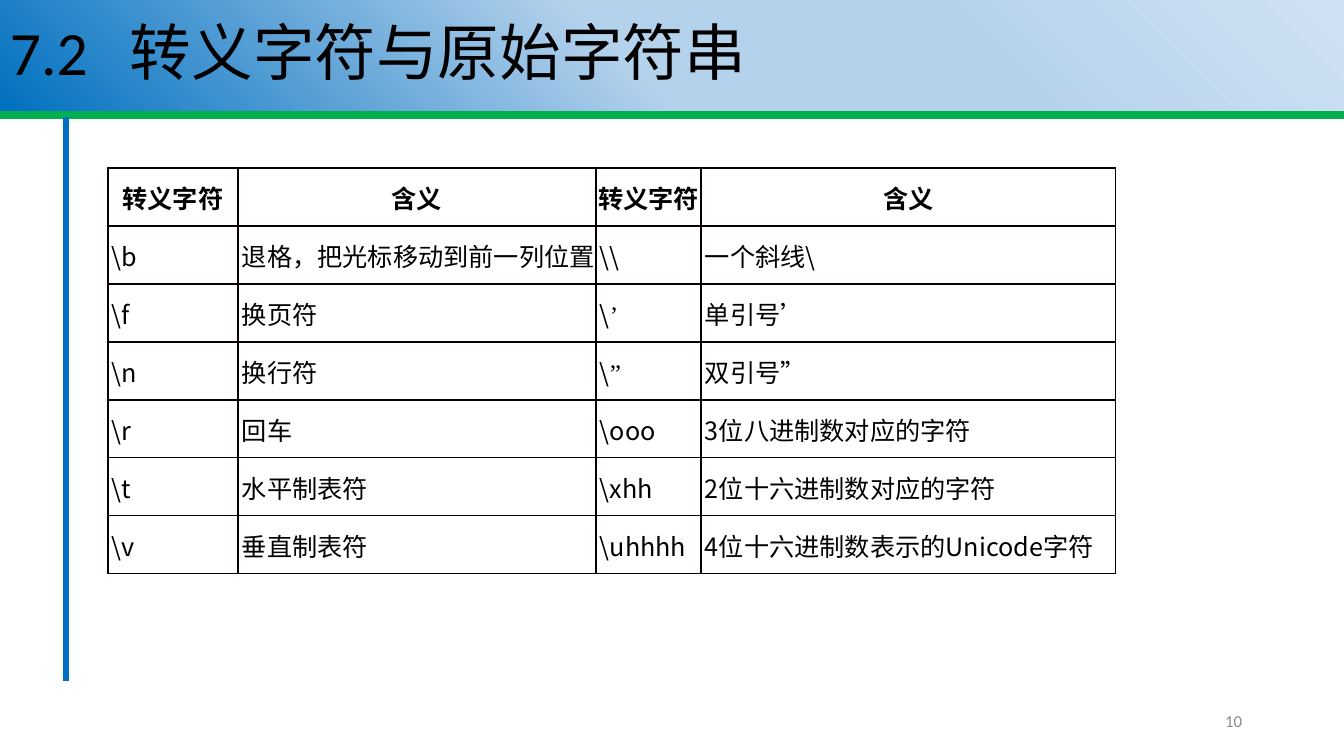
"""Build the slide on escape characters and raw strings."""
from dataclasses import dataclass
from itertools import groupby

from lxml import etree
from pptx import Presentation
from pptx import util as u
from pptx.dml.color import RGBColor
from pptx.enum import shapes, text
from pptx.oxml import ns

PX = 914400 / 100.8
QUOTES = "’”"
ROWS = [
    ("转义字符", "含义", "转义字符", "含义"),
    (r"\b", "退格，把光标移动到前一列位置", r"\\", "一个斜线\\"),
    (r"\f", "换页符", r"\’", "单引号’"),
    (r"\n", "换行符", r"\”", "双引号”"),
    (r"\r", "回车", r"\ooo", "3位八进制数对应的字符"),
    (r"\t", "水平制表符", r"\xhh", "2位十六进制数对应的字符"),
    (r"\v", "垂直制表符", r"\uhhhh", "4位十六进制数表示的Unicode字符"),
]


@dataclass(frozen=True)
class Theme:
    """Colours, fonts and type sizes of the slide."""
    ink: str = "000000"
    paper: str = "FFFFFF"
    muted: str = "8C8C8C"
    green: str = "00B050"
    blue: str = "0070C0"
    border: str = "080000"
    banner: tuple = ((1, "CEE1F2"), (29, "B5D2EC"), (53, "B5D2EC"), (100, "0070C0"))
    latin: str = "Calibri"
    asian: str = "Noto Sans CJK SC"
    quote: str = "Times New Roman"
    title: int = 44
    body: int = 18
    small: int = 12


def px(length):
    """Turn px into EMU."""
    return u.Emu(round(length * PX))


def assign(target, **values):
    """Set each format value on the target."""
    for name, value in values.items():
        setattr(target, name, value)


def add_xml(parent, tag, **attributes):
    """Append a drawing element to the parent."""
    return etree.SubElement(parent, ns.qn(tag), attributes)


class SlideBuilder:
    """Draw elements on one slide in one style."""

    def __init__(self, page, theme):
        """Keep the page and the theme."""
        self.page, self.theme = page, theme

    def add_span(self, para, words, font, size, color, bold=False):
        """Add one span of text to a paragraph."""
        span = para.add_run()
        span.text = words
        assign(span.font, name=font, size=u.Pt(size), bold=bold)
        span.font.color.rgb = RGBColor.from_string(color)
        add_xml(span.font._element, "a:ea", typeface=self.theme.asian)

    def line(self, start, end, color, width):
        """Draw a straight line."""
        rule = self.page.shapes.add_connector(
            shapes.MSO_CONNECTOR.STRAIGHT, *map(px, start + end))
        rule.line.color.rgb = RGBColor.from_string(color)
        rule.line.width = u.Pt(width)
        add_xml(rule._element.spPr, "a:effectLst")

    def banner(self, left, top, width, height, number, heading, tab):
        """Draw the gradient title bar."""
        box = self.page.shapes.add_shape(
            shapes.MSO_SHAPE.RECTANGLE, *map(px, (left, top, width, height)))
        box.shadow.inherit = False
        box.line.fill.background()
        box.fill.gradient()
        box.fill.gradient_angle = 225
        stops = box._element.spPr.find(".//" + ns.qn("a:gsLst"))
        stops[:] = []
        for percent, color in self.theme.banner:
            stop = add_xml(stops, "a:gs", pos=str(percent * 1000))
            add_xml(stop, "a:srgbClr", val=color)
        assign(box.text_frame, word_wrap=True, vertical_anchor=text.MSO_ANCHOR.MIDDLE)
        para = box.text_frame.paragraphs[0]
        assign(para, alignment=text.PP_ALIGN.LEFT, line_spacing=0.9)
        tabs = add_xml(para._element.get_or_add_pPr(), "a:tabLst")
        add_xml(tabs, "a:tab", pos=str(px(tab)), algn="l")
        self.add_span(para, f"{number}\t{heading}", self.theme.latin,
                      self.theme.title, self.theme.ink)

    def page_number(self, left, top, width, height, words):
        """Place the page number."""
        box = self.page.shapes.add_textbox(*map(px, (left, top, width, height)))
        assign(box.text_frame, word_wrap=True, vertical_anchor=text.MSO_ANCHOR.MIDDLE)
        para = box.text_frame.paragraphs[0]
        para.alignment = text.PP_ALIGN.RIGHT
        self.add_span(para, words, self.theme.latin, self.theme.small, self.theme.muted)

    def borders(self, cell):
        """Outline all four sides of a cell."""
        props = cell._tc.get_or_add_tcPr()
        for index, side in enumerate("LRTB"):
            edge = add_xml(props, f"a:ln{side}", w=str(u.Pt(1)))
            add_xml(add_xml(edge, "a:solidFill"), "a:srgbClr", val=self.theme.border)
            props.insert(index, edge)

    def cell(self, cell, words, header):
        """Fill one table cell."""
        theme = self.theme
        assign(cell, margin_left=px(0 if header else 4), margin_right=0,
               margin_top=px(11), margin_bottom=px(11))
        cell.fill.solid()
        cell.fill.fore_color.rgb = RGBColor.from_string(theme.paper)
        self.borders(cell)
        para = cell.text_frame.paragraphs[0]
        para.alignment = text.PP_ALIGN.CENTER if header else text.PP_ALIGN.LEFT
        for quoted, letters in groupby(words, lambda letter: letter in QUOTES):
            font = theme.quote if quoted else theme.asian
            self.add_span(para, "".join(letters), font, theme.body, theme.ink, header)

    def table(self, left, top, widths, row_height, rows):
        """Draw a bordered table with a header row."""
        frame = self.page.shapes.add_table(
            len(rows), len(widths), px(left), px(top),
            px(sum(widths)), px(row_height * len(rows)))
        grid = frame.table
        grid.horz_banding = False
        for column, width in zip(grid.columns, widths):
            column.width = px(width)
        for row_index, row in enumerate(rows):
            grid.rows[row_index].height = px(row_height)
            for column_index, words in enumerate(row):
                self.cell(grid.cell(row_index, column_index), words, row_index == 0)


def main():
    """Build and save the deck."""
    deck = Presentation()
    assign(deck, slide_width=px(1344), slide_height=px(756))
    theme = Theme()
    slide = SlideBuilder(deck.slides.add_slide(deck.slide_layouts[6]), theme)
    slide.line((0, 115), (1344, 115), theme.green, 5.25)
    slide.line((66, 117), (66, 681), theme.blue, 3.75)
    slide.banner(0, 0, 1344, 111, "7.2", "转义字符与原始字符串", 120)
    slide.page_number(950, 701, 302, 40, "10")
    slide.table(108, 168, (130, 358, 105, 415), 58, ROWS)
    deck.save("out.pptx")


if __name__ == "__main__":
    main()
